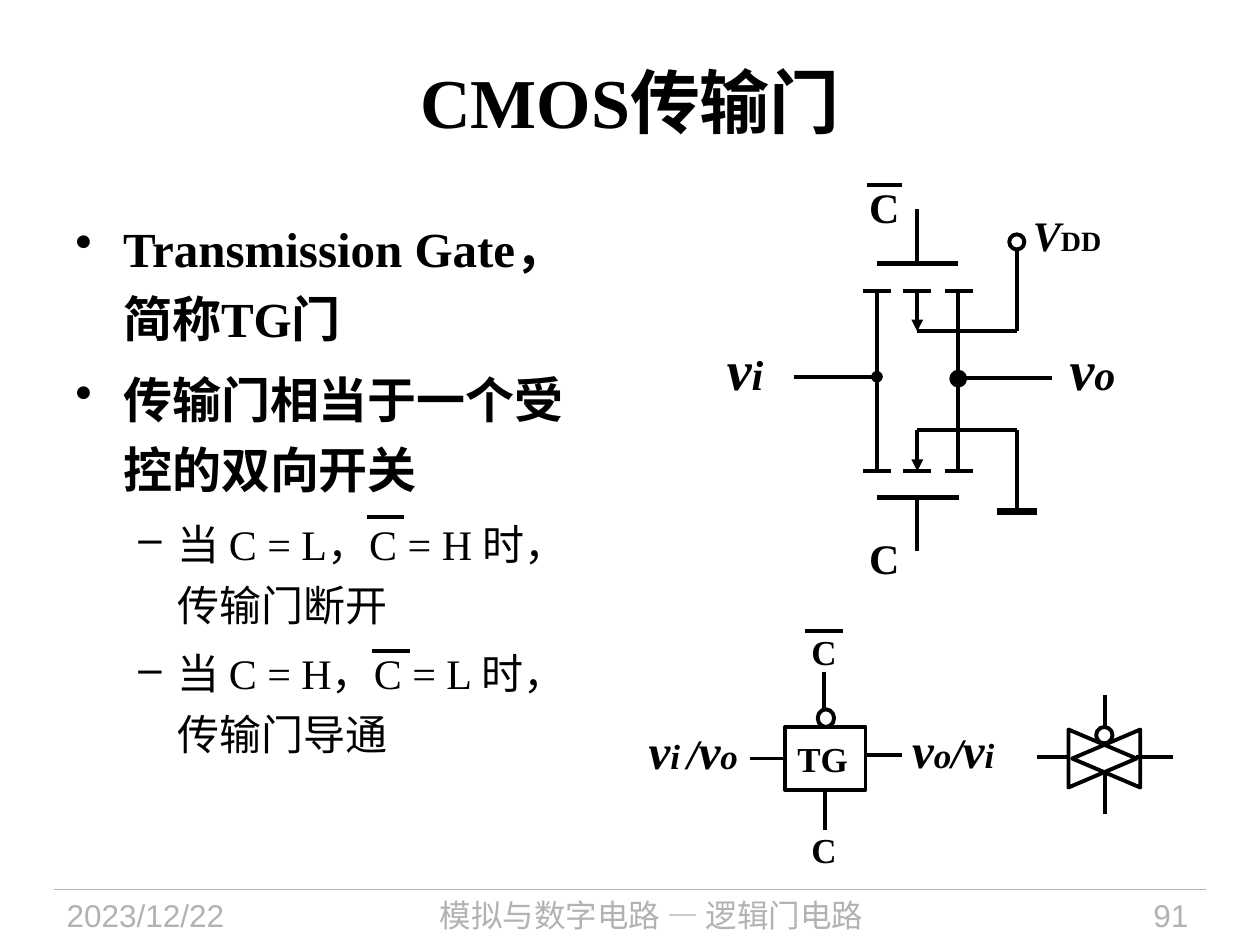
"""Build the slide about the CMOS transmission gate."""
from lxml import etree
from pptx import Presentation
from pptx import util as u
from pptx.dml import color
from pptx.enum import shapes, text
from pptx.oxml import ns

PX = 9144
BLACK, WHITE, GREY = "000000", "FFFFFF", "B2B2B2"
LEFT, CENTER, RIGHT = text.PP_ALIGN.LEFT, text.PP_ALIGN.CENTER, text.PP_ALIGN.RIGHT


def paint(fill, hex_color):
    if hex_color is None:
        fill.background()
    else:
        fill.solid()
        fill.fore_color.rgb = color.RGBColor.from_string(hex_color)


def write(paragraph, words, size=24, font="Times New Roman", ink=BLACK, bold=True, italic=False):
    run = paragraph.add_run()
    run.text = words
    run.font.size = u.Pt(size)
    run.font.name = font
    run.font.bold = bold
    run.font.italic = italic
    paint(run.font.fill, ink)


deck = Presentation()
deck.slide_width, deck.slide_height = 1000 * PX, 750 * PX
slide = deck.slides.add_slide(deck.slide_layouts[5])

title = slide.shapes.title
title.left, title.top, title.width, title.height = 50 * PX, 17 * PX, 900 * PX, 125 * PX
title.text_frame.vertical_anchor = text.MSO_ANCHOR.MIDDLE
title.text_frame.paragraphs[0].alignment = CENTER
write(title.text_frame.paragraphs[0], "CMOS传输门", size=40)

footers = [
    (43, 188, LEFT, "2023/12/22"),
    (249, 536, CENTER, "模拟与数字电路 — 逻辑门电路"),
    (820, 133, RIGHT, "91"),
]
for x, width, align, words in footers:
    footer = slide.shapes.add_textbox(x * PX, 706 * PX, width * PX, 44 * PX).text_frame
    footer.word_wrap = True
    footer.paragraphs[0].alignment = align
    write(footer.paragraphs[0], words, size=18, font="Arial", ink=GREY, bold=False)

body = slide.shapes.add_textbox(50 * PX, 159 * PX, 426 * PX, 539 * PX).text_frame
body.word_wrap = True
points = [
    (0, "Transmission Gate，简称TG门"),
    (0, "传输门相当于一个受控的双向开关"),
    (1, "当 C = L，C = H 时，传输门断开"),
    (1, "当 C = H，C = L 时，传输门导通"),
]
levels = [(38, 38, "•", 28, True), (81, 31, "–", 24, False)]
for number, (level, words) in enumerate(points):
    margin, hang, bullet, size, bold = levels[level]
    point = body.add_paragraph() if number else body.paragraphs[0]
    point.level = level
    properties = point._p.get_or_add_pPr()
    properties.set("marL", str(margin * PX))
    properties.set("indent", str(-hang * PX))
    etree.SubElement(properties, ns.qn("a:buChar")).set("char", bullet)
    point.line_spacing = 1.2
    point.space_after = u.Pt(size * 0.2)
    write(point, words, size=size, bold=bold)

labels = [
    (810, 161, 74, 50, [("V", 24, True), ("DD", 16, False)]),
    (680, 139, 44, 50, [("C", 24, False)]),
    (680, 418, 44, 50, [("C", 24, False)]),
    (567, 261, 55, 63, [("v", 32, True), ("i", 24, True), (" ", 18, True)]),
    (839, 261, 57, 63, [("v", 32, True), ("o", 24, True)]),
    (505, 567, 97, 57, [("v", 28, True), ("i", 20, True), (" ", 16, True), ("/", 24, True),
                        ("v", 28, True), ("o", 20, True), (" ", 16, True)]),
    (714, 566, 92, 57, [("v", 28, True), ("o", 20, True), ("/", 24, True),
                        ("v", 28, True), ("i", 20, True), (" ", 16, True)]),
]
for x, y, width, height, parts in labels:
    label = slide.shapes.add_textbox(x * PX, y * PX, width * PX, height * PX).text_frame
    label.word_wrap = False
    label.auto_size = text.MSO_AUTO_SIZE.SHAPE_TO_FIT_TEXT
    for words, size, italic in parts:
        write(label.paragraphs[0], words, size=size, italic=italic)

for y in (504, 661):
    control = slide.shapes.add_textbox(644 * PX, y * PX, 20 * PX, 21 * PX).text_frame
    control.margin_left = control.margin_right = control.margin_top = control.margin_bottom = 0
    control.word_wrap = True
    control.paragraphs[0].alignment = CENTER
    control.paragraphs[0].line_spacing = 0.9
    write(control.paragraphs[0], "C", size=20)

OVAL = shapes.MSO_SHAPE.OVAL
TRIANGLE = shapes.MSO_SHAPE.ISOSCELES_TRIANGLE
outlines = [
    (OVAL, 801, 186, 12, 12, 0, None),
    (OVAL, 755, 295, 11, 11, 0, BLACK),
    (OVAL, 649, 563, 13, 14, 0, None),
    (OVAL, 870, 577, 13, 13, 0, None),
    (TRIANGLE, 852, 575, 46, 54, 90, WHITE),
    (TRIANGLE, 855, 575, 46, 54, 270, None),
    (shapes.MSO_SHAPE.RECTANGLE, 623, 577, 64, 50, 0, None),
]
for kind, x, y, width, height, turn, fill in outlines:
    outline = slide.shapes.add_shape(kind, x * PX, y * PX, width * PX, height * PX)
    outline.shadow.inherit = False
    outline.rotation = turn
    paint(outline.fill, fill)
    paint(outline.line.fill, BLACK)
    outline.line.width = u.Pt(2.25)

gate = outline
gate.text_frame.word_wrap = False
gate.text_frame.vertical_anchor = text.MSO_ANCHOR.MIDDLE
gate.text_frame.paragraphs[0].alignment = LEFT
write(gate.text_frame.paragraphs[0], "TG", size=20)
gate_sides = {(623, 602): 1, (655, 627): 2}

contacts = [(x, y, x + 22, y) for y in (231, 374) for x in (685, 717, 750)]
channels = [(696, 231, 696, 374), (760, 231, 760, 374)]
supply = [(728, 166, 728, 209), (728, 263, 807, 263), (807, 198, 807, 263)]
ground = [(728, 395, 728, 437), (728, 341, 807, 341), (807, 341, 807, 406)]
overbars = [(688, 147, 716, 147), (639, 501, 669, 501), (291, 410, 321, 410), (295, 517, 325, 517)]
gate_pins = [(623, 602, 595, 602), (655, 627, 655, 659), (688, 599, 716, 599), (654, 533, 654, 563)]
symbol_pins = [(823, 601, 848, 601), (902, 601, 931, 601), (877, 552, 877, 577), (877, 613, 877, 646)]
plain = contacts + channels + supply + ground + overbars + gate_pins + symbol_pins

wires = [(ends, 2.25, BLACK, None) for ends in plain] + [
    ((43, 706, 957, 706), 0.75, GREY, None),
    ((696, 209, 760, 209), 3, BLACK, None),
    ((696, 395, 761, 395), 3, BLACK, None),
    ((791, 406, 823, 406), 4.5, BLACK, None),
    ((728, 231, 728, 263), 2.25, BLACK, "triangle"),
    ((728, 341, 728, 374), 2.25, BLACK, "triangle"),
    ((630, 299, 696, 299), 2.25, BLACK, "oval"),
    ((835, 300, 761, 300), 2.25, BLACK, "oval"),
]
for (x1, y1, x2, y2), width, ink, tip in wires:
    wire = slide.shapes.add_connector(shapes.MSO_CONNECTOR.STRAIGHT, x1 * PX, y1 * PX, x2 * PX, y2 * PX)
    paint(wire.line.fill, ink)
    wire.line.width = u.Pt(width)
    if tip:
        etree.SubElement(wire.line._get_or_add_ln(), ns.qn("a:tailEnd")).set("type", tip)
    etree.SubElement(wire._element.spPr, ns.qn("a:effectLst"))
    if (x1, y1) in gate_sides:
        wire.begin_connect(gate, gate_sides[x1, y1])

deck.save("out.pptx")
